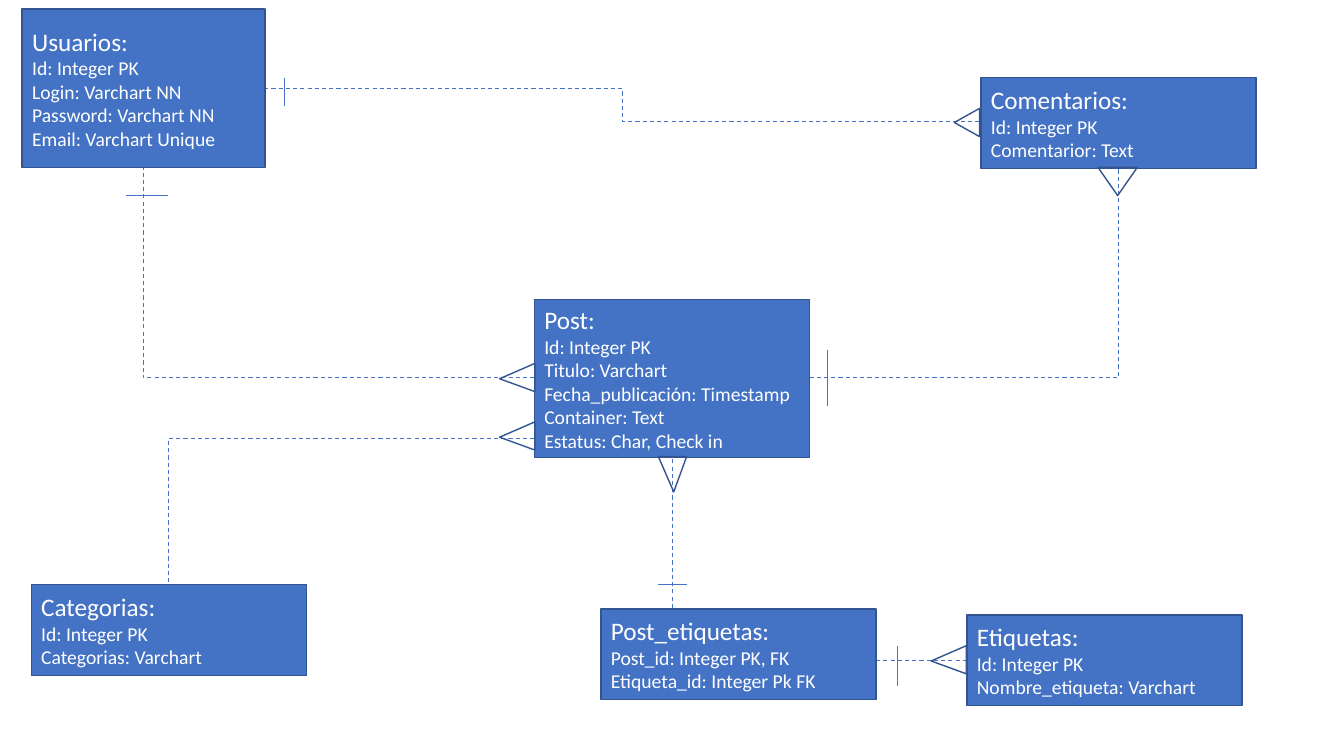
from typing import NamedTuple

from pptx import Presentation
from pptx.dml.color import RGBColor
from pptx.enum import dml, shapes, text
from pptx.oxml import ns, xmlchemy
from pptx.util import Inches, Pt

BLUE = RGBColor(0x44, 0x72, 0xC4)
OUTLINE = RGBColor(0x32, 0x54, 0x91)
WHITE = RGBColor(0xFF, 0xFF, 0xFF)
WIDE = 2.73
TALL, SHORT = 1.57, 0.9


class Entity(NamedTuple):
    name: str
    fields: list[str]
    left: float
    top: float
    width: float = WIDE
    height: float = SHORT


class Link(NamedTuple):
    start: tuple[float, float]
    end: tuple[float, float]
    geometry: str = "bentConnector2"  # horizontal first, then vertical


class Tick(NamedTuple):
    start: tuple[float, float]
    end: tuple[float, float]


class CrowFoot(NamedTuple):
    left: float
    top: float
    rotation: int
    width: float = 0.28
    height: float = 0.35
    apex: float = 0.457


ENTITIES = [
    Entity("Usuarios:", ["Id: Integer PK", "Login: Varchart NN", "Password: Varchart NN",
                         "Email: Varchart Unique"], 0.22, 0.09, 2.41, TALL),
    Entity("Post:", ["Id: Integer PK", "Titulo: Varchart", "Fecha_publicación: Timestamp",
                     "Container: Text", "Estatus: Char, Check in"], 5.3, 2.97, WIDE, TALL),
    Entity("Comentarios:", ["Id: Integer PK", "Comentarior: Text"], 9.73, 0.77),
    Entity("Categorias:", ["Id: Integer PK", "Categorias: Varchart"], 0.31, 5.8),
    Entity("Etiquetas:", ["Id: Integer PK", "Nombre_etiqueta: Varchart"], 9.59, 6.1),
    Entity("Post_etiquetas:", ["Post_id: Integer PK, FK", "Etiqueta_id: Integer Pk FK"],
           5.96, 6.04),
]
LINKS = [
    Link((5.3, 3.75), (1.42, 1.66)),
    Link((2.62, 0.88), (9.73, 1.21), "bentConnector3"),
    Link((8.03, 3.75), (11.09, 1.66)),
    Link((5.3, 4.35), (1.67, 5.8)),
    Link((9.59, 6.55), (6.67, 4.53)),
]
TICKS = [
    Tick((2.82, 0.77), (2.82, 1.05)),
    Tick((1.25, 1.94), (1.67, 1.94)),
    Tick((8.21, 3.47), (8.21, 4.03)),
    Tick((6.53, 5.8), (6.81, 5.8)),
    Tick((8.9, 6.41), (8.9, 6.81)),
]
CROW_FEET = [
    CrowFoot(4.99, 3.57, 270),
    CrowFoot(4.99, 4.15, 270),
    CrowFoot(9.27, 6.37, 270),
    CrowFoot(6.53, 4.53, 180),
    CrowFoot(9.45, 1.09, 270, 0.28, 0.25, 0.5),
    CrowFoot(10.89, 1.66, 180, 0.39, 0.28, 0.5),
]


def apply_format(target, values: dict) -> None:
    for name, value in values.items():
        setattr(target, name, value)


def add_outlined_shape(slide, kind, part: Entity | CrowFoot):
    box = (Inches(n) for n in (part.left, part.top, part.width, part.height))
    shape = slide.shapes.add_shape(kind, *box)
    shape.shadow.inherit = False
    shape.line.color.rgb = OUTLINE
    shape.line.width = Pt(1)
    return shape


def add_entity(slide, entity: Entity) -> None:
    shape = add_outlined_shape(slide, shapes.MSO_SHAPE.RECTANGLE, entity)
    shape.fill.solid()
    shape.fill.fore_color.rgb = BLUE
    frame = shape.text_frame
    apply_format(frame, {"word_wrap": True, "vertical_anchor": text.MSO_ANCHOR.MIDDLE})
    for index, line in enumerate([entity.name, *entity.fields]):
        paragraph = frame.add_paragraph() if index else frame.paragraphs[0]
        paragraph.alignment = text.PP_ALIGN.LEFT
        run = paragraph.add_run()
        run.text = line
        apply_format(run.font, {"name": "Calibri", "size": Pt(14 if index else 18)})
        run.font.color.rgb = WHITE


def add_crow_foot(slide, foot: CrowFoot) -> None:
    shape = add_outlined_shape(slide, shapes.MSO_SHAPE.ISOSCELES_TRIANGLE, foot)
    shape.fill.background()
    shape.rotation = foot.rotation
    shape.adjustments[0] = foot.apex


def add_line(slide, kind, part: Link | Tick, line_format: dict):
    points = (Inches(n) for n in (*part.start, *part.end))
    connector = slide.shapes.add_connector(kind, *points)
    connector.line.color.rgb = BLUE
    apply_format(connector.line, line_format)
    properties = connector._element.spPr
    properties.append(xmlchemy.OxmlElement("a:effectLst"))
    return connector


def add_link(slide, link: Link) -> None:
    line_format = {"width": Pt(0.75), "dash_style": dml.MSO_LINE.DASH}
    connector = add_line(slide, shapes.MSO_CONNECTOR.ELBOW, link, line_format)
    geometry = connector._element.spPr.find(ns.qn("a:prstGeom"))
    geometry.set("prst", link.geometry)


def add_tick(slide, tick: Tick) -> None:
    add_line(slide, shapes.MSO_CONNECTOR.STRAIGHT, tick, {"width": Pt(0.5)})


presentation = Presentation()
presentation.slide_width = Inches(13.33)
presentation.slide_height = Inches(7.5)
slide = presentation.slides.add_slide(presentation.slide_layouts[6])

# Relations lie behind the entities
for link in LINKS:
    add_link(slide, link)
for entity in ENTITIES:
    add_entity(slide, entity)

# Cardinality marks
for tick in TICKS:
    add_tick(slide, tick)
for foot in CROW_FEET:
    add_crow_foot(slide, foot)

presentation.save("out.pptx")
